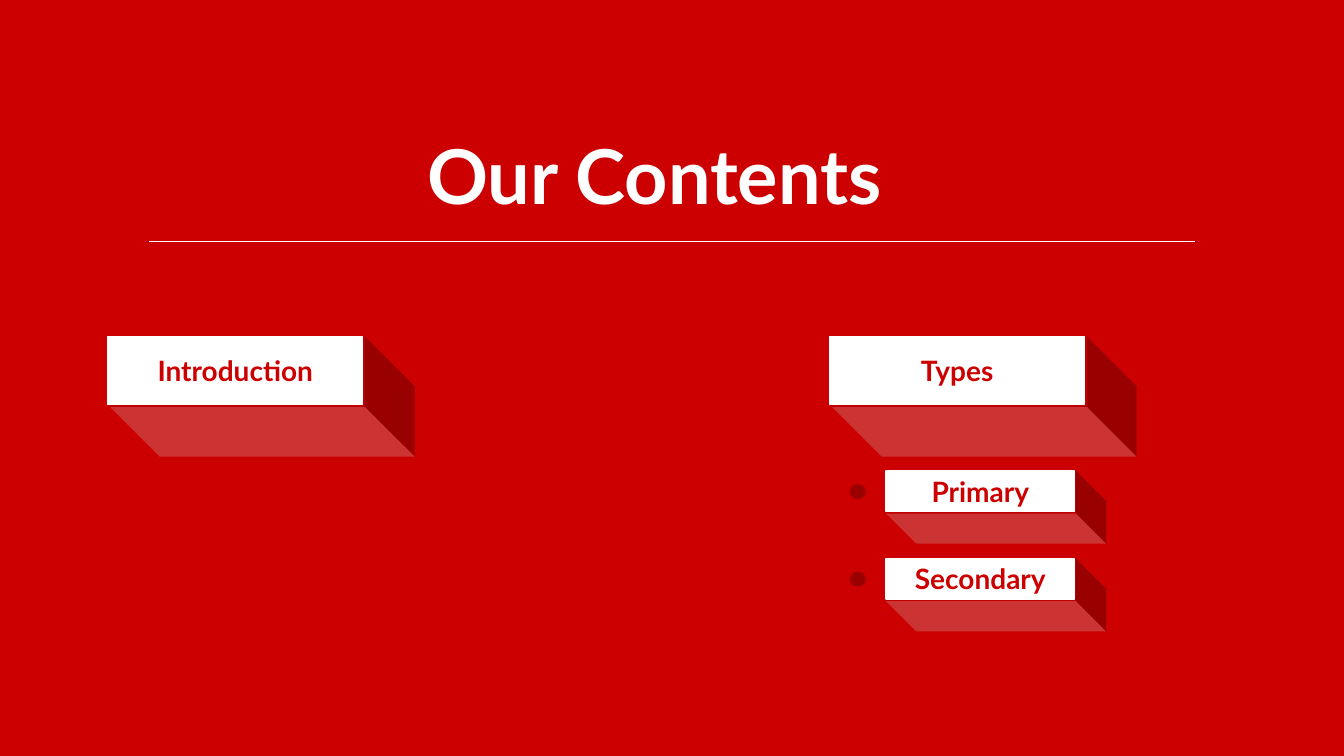
from dataclasses import dataclass

from lxml import etree
from pptx import Presentation
from pptx import util as u
from pptx.dml.color import RGBColor
from pptx.enum import shapes, text
from pptx.oxml.ns import qn

COLOURS = {
    "background": "CC0000",
    "cube": "C00000",
    "dot": "9A0000",
    "white": "FFFFFF",
}
FONT = "Lato"


@dataclass(frozen=True)
class BlockSize:
    front_width: float
    front_height: float
    cube_width: float
    cube_height: float
    cube_shift: float
    has_dot: bool


@dataclass(frozen=True)
class Block:
    label: str
    left: float
    top: float
    size: BlockSize


TOPIC = BlockSize(182.2, 48.3, 217.4, 85.7, 1.8, False)
SUBTOPIC = BlockSize(134.6, 29, 157, 52, 0, True)

TOPIC_TOP = 240.5
SUBTOPIC_LEFT, SUBTOPIC_TOP, SUBTOPIC_STEP = 633, 336.3, 62.6

BLOCKS = [
    Block("Introduction", 77, TOPIC_TOP, TOPIC),
    *(
        Block(label, SUBTOPIC_LEFT, SUBTOPIC_TOP + row * SUBTOPIC_STEP, SUBTOPIC)
        for row, label in enumerate(["Primary", "Secondary"])
    ),
    Block("Types", 592.6, TOPIC_TOP, TOPIC),
]


def colour(name: str) -> RGBColor:
    return RGBColor.from_string(COLOURS[name])


def write_text(shape, words: str, *, size: float, ink: str, align, anchor) -> None:
    frame = shape.text_frame
    frame.word_wrap = True
    frame.vertical_anchor = anchor
    para = frame.paragraphs[0]
    para.alignment = align
    span = para.add_run()
    span.text = words
    span.font.name = FONT
    span.font.size = u.Pt(size)
    span.font.bold = True
    span.font.color.rgb = colour(ink)


def add_solid(parent, kind, left: float, top: float, width: float, height: float,
              fill: str, line: str | None = None):
    shape = parent.shapes.add_shape(
        kind, u.Pt(left), u.Pt(top), u.Pt(width), u.Pt(height))
    shape.shadow.inherit = False
    shape.fill.solid()
    shape.fill.fore_color.rgb = colour(fill)
    if line:
        shape.line.color.rgb = colour(line)
        shape.line.width = u.Pt(1)
    else:
        shape.line.fill.background()
    return shape


def add_block(page, block: Block) -> None:
    size = block.size
    group = page.shapes.add_group_shape()

    # Cube turned so that its depth falls below and to the right
    cube = add_solid(group, shapes.MSO_SHAPE.CUBE, block.left + size.cube_shift,
                     block.top, size.cube_width, size.cube_height, "cube")
    cube.adjustments[0] = 0.413
    cube.rotation = 180
    cube._element.spPr.find(qn("a:xfrm")).set("flipH", "1")

    # Labelled front face
    front = add_solid(group, shapes.MSO_SHAPE.RECTANGLE, block.left, block.top,
                      size.front_width, size.front_height, "white", "white")
    write_text(front, block.label, size=20, ink="background",
               align=text.PP_ALIGN.CENTER, anchor=text.MSO_ANCHOR.MIDDLE)

    if size.has_dot:
        add_solid(group, shapes.MSO_SHAPE.OVAL, block.left - 26, block.top + 9.4,
                  11.5, 10.8, "dot")


def add_title(page, words: str) -> None:
    title = page.shapes.title
    title.left, title.top = u.Pt(298), u.Pt(88.6)
    title.width, title.height = u.Pt(383), u.Pt(72.7)
    write_text(title, words, size=54, ink="white",
               align=text.PP_ALIGN.LEFT, anchor=text.MSO_ANCHOR.TOP)


def add_rule(page, left: float, right: float, top: float) -> None:
    rule = page.shapes.add_connector(
        shapes.MSO_CONNECTOR.STRAIGHT, u.Pt(left), u.Pt(top), u.Pt(right), u.Pt(top))
    rule.line.color.rgb = colour("white")
    rule.line.width = u.Pt(0.5)
    etree.SubElement(rule._element.spPr, qn("a:effectLst"))


def main() -> None:
    deck = Presentation()
    deck.slide_width, deck.slide_height = u.Pt(960), u.Pt(540)
    page = deck.slides.add_slide(deck.slide_layouts.get_by_name("Title Only"))
    page.background.fill.solid()
    page.background.fill.fore_color.rgb = colour("background")

    add_title(page, "Our Contents")
    add_rule(page, 106.5, 853.3, 172.5)
    for block in BLOCKS:
        add_block(page, block)

    deck.save("out.pptx")


if __name__ == "__main__":
    main()
